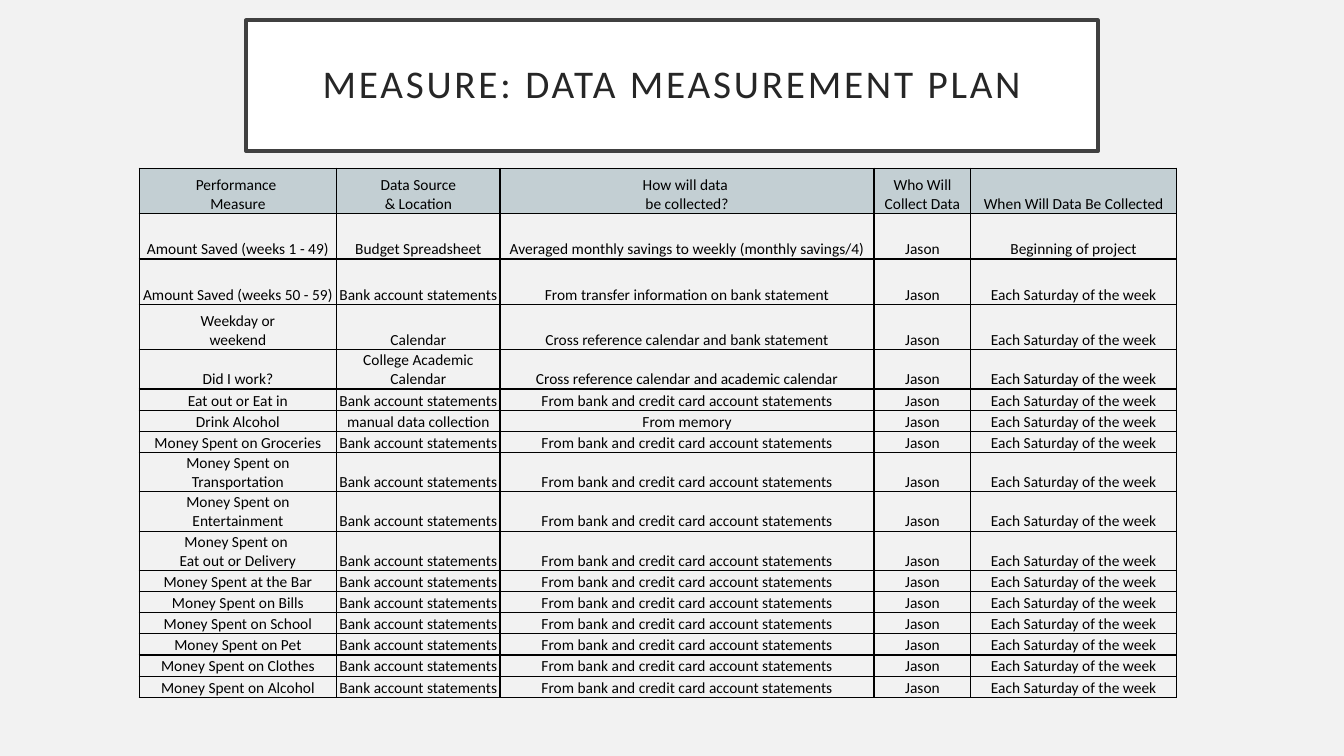
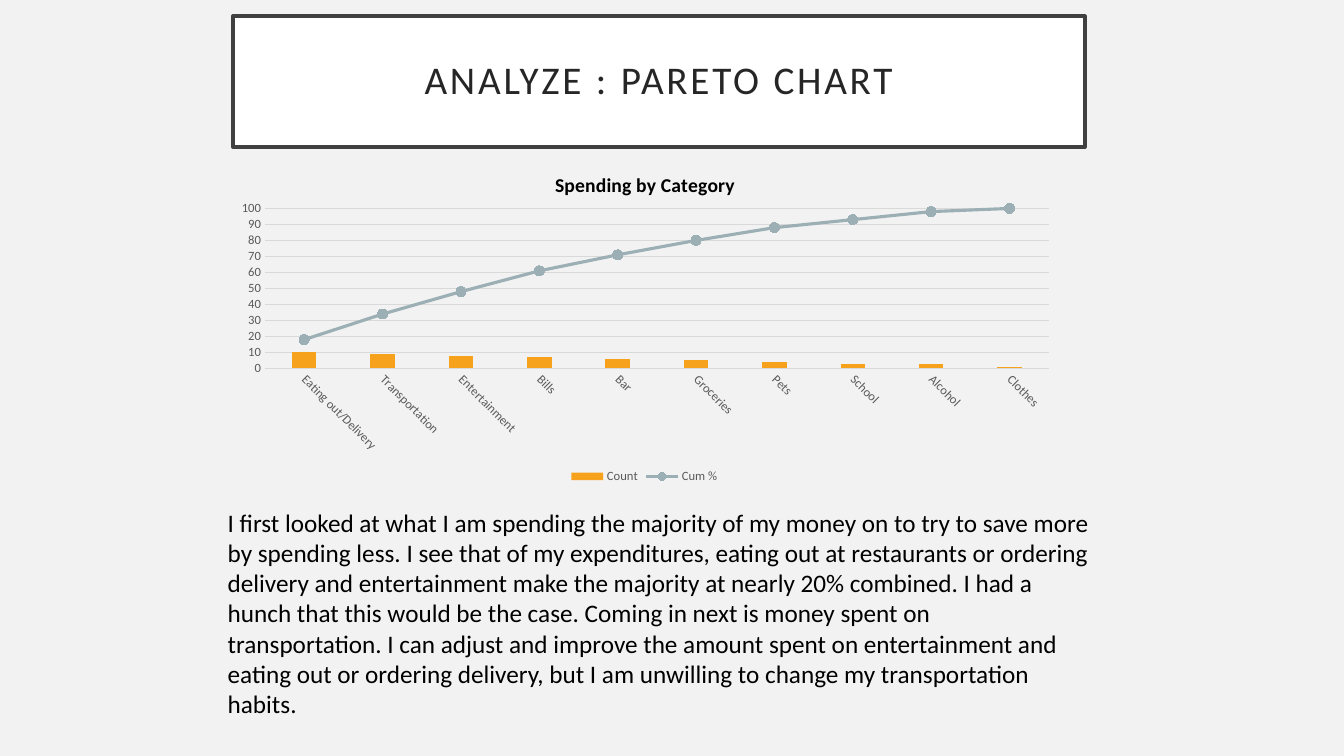
import pptx
import pptx.chart.data
import pptx.dml.color
import pptx.enum.chart
import pptx.enum.text
import pptx.oxml
import pptx.oxml.ns
import pptx.util
from pptx.util import Inches, Pt

FONT = "Calibri"
PAPER, WHITE, BLACK = "F2F2F2", "FFFFFF", "000000"
FRAME, TITLE_INK = "404040", "262626"
HEADER_FILL = "C3CFD3"
AXIS_INK, GRID = "595959", "D9D9D9"
ORANGE, BLUE_GREY = "F6A21D", "9BAFB5"

BANK = "Bank account statements"
CARDS = "From bank and credit card account statements"
WHO = "Jason"
WEEKLY = "Each Saturday of the week"

TALL, MEDIUM, SHORT = 0.45, 0.39, 0.21
COLUMN_WIDTHS = [1.96, 1.62, 3.71, 0.96, 2.04]
HEADER = ["Performance \nMeasure", "Data Source\n& Location", "How will data \nbe collected?",
          "Who Will Collect Data", "When Will Data Be Collected"]
# Row height, measure, source, way of collecting, time of collecting
MEASURES = [
    (TALL, "Amount Saved (weeks 1 - 49)", "Budget Spreadsheet",
     "Averaged monthly savings to weekly (monthly savings/4)", "Beginning of project"),
    (TALL, "Amount Saved (weeks 50 - 59)", BANK,
     "From transfer information on bank statement", WEEKLY),
    (TALL, "Weekday or\nweekend", "Calendar",
     "Cross reference calendar and bank statement", WEEKLY),
    (MEDIUM, "Did I work?", "College Academic Calendar",
     "Cross reference calendar and academic calendar", WEEKLY),
    (SHORT, "Eat out or Eat in", BANK, CARDS, WEEKLY),
    (SHORT, "Drink Alcohol", "manual data collection", "From memory", WEEKLY),
]
SPENDING = [
    (SHORT, "on Groceries"), (MEDIUM, "on Transportation"), (MEDIUM, "on Entertainment"),
    (MEDIUM, "on \nEat out or Delivery"), (SHORT, "at the Bar"), (SHORT, "on Bills"),
    (SHORT, "on School"), (SHORT, "on Pet"), (SHORT, "on Clothes"), (SHORT, "on Alcohol"),
]
MEASURES += [(height, f"Money Spent {purpose}", BANK, CARDS, WEEKLY)
             for height, purpose in SPENDING]

# Category, count, cumulative percentage
PARETO = [
    ("Eating out/Delivery", 10, 18), ("Transportation", 9, 34), ("Entertainment", 8, 48),
    ("Bills", 7, 61), ("Bar", 6, 71), ("Groceries", 5, 80), ("Pets", 4, 88),
    ("School", 3, 93), ("Alcohol", 3, 98), ("Clothes", 1, 100),
]
FINDINGS = (
    "I first looked at what I am spending the majority of my money on to try to save more by "
    "spending less. I see that of my expenditures, eating out at restaurants or ordering "
    "delivery and entertainment make the majority at nearly 20% combined. I had a hunch that "
    "this would be the case. Coming in next is money spent on transportation. I can adjust and "
    "improve the amount spent on entertainment and eating out or ordering delivery, but I am "
    "unwilling to change my transportation habits."
)


def rgb(value):
    return pptx.dml.color.RGBColor.from_string(value)


def paint(fill, color):
    fill.solid()
    fill.fore_color.rgb = rgb(color)


def draw_line(line, color, width):
    line.color.rgb = rgb(color)
    line.width = Pt(width)


def style_font(font, size, color, bold=False):
    font.name, font.size, font.bold = FONT, Pt(size), bold
    font.color.rgb = rgb(color)


def write(paragraph, text, size, color):
    """Add text run by run, with a line break at each newline."""
    for index, part in enumerate(text.split("\n")):
        if index:
            paragraph.add_line_break()
        run = paragraph.add_run()
        run.text = part
        style_font(run.font, size, color)


def add_titled_slide(presentation, title, left, top):
    slide = presentation.slides.add_slide(presentation.slide_layouts.get_by_name("Title Only"))
    shape = slide.shapes.title
    shape.left, shape.top, shape.width, shape.height = map(Inches, (left, top, 8.45, 1.3))
    paint(shape.fill, WHITE)
    draw_line(shape.line, FRAME, 2.5)
    frame = shape.text_frame
    frame.word_wrap = True
    frame.auto_size = pptx.enum.text.MSO_AUTO_SIZE.NONE
    frame.vertical_anchor = pptx.enum.text.MSO_ANCHOR.MIDDLE
    frame.margin_left = frame.margin_right = Inches(0.2)
    frame.margin_top = frame.margin_bottom = Inches(0.2)
    paragraph = frame.paragraphs[0]
    paragraph.alignment = pptx.enum.text.PP_ALIGN.CENTER
    paragraph.line_spacing = 0.9
    write(paragraph, title, 28, TITLE_INK)
    for run in paragraph.runs:
        run.font._element.set("spc", "200")
    return slide


def add_borders(cell, color, width):
    properties = cell._tc.get_or_add_tcPr()
    for index, side in enumerate("LRTB"):
        properties.insert(index, pptx.oxml.parse_xml(
            f'<a:ln{side} {pptx.oxml.ns.nsdecls("a")} w="{Pt(width)}"><a:solidFill>'
            f'<a:srgbClr val="{color}"/></a:solidFill></a:ln{side}>'))


def fill_cell(cell, text, is_header):
    cell.margin_left = cell.margin_right = cell.margin_top = Inches(0.01)
    cell.margin_bottom = 0
    cell.vertical_anchor = pptx.enum.text.MSO_ANCHOR.BOTTOM
    paragraph = cell.text_frame.paragraphs[0]
    paragraph.alignment = pptx.enum.text.PP_ALIGN.CENTER
    write(paragraph, text, 11, BLACK)
    if is_header:
        paint(cell.fill, HEADER_FILL)
    else:
        cell.fill.background()
    add_borders(cell, BLACK, 1)


def add_measurement_table(slide):
    rows = [(TALL, HEADER)]
    rows += [(height, [measure, source, method, WHO, time])
             for height, measure, source, method, time in MEASURES]
    table = slide.shapes.add_table(
        len(rows), len(COLUMN_WIDTHS), Inches(1.38), Inches(1.67),
        Inches(sum(COLUMN_WIDTHS)), Inches(sum(height for height, _ in rows))).table
    table.first_row = table.horz_banding = False
    for column, width in zip(table.columns, COLUMN_WIDTHS):
        column.width = Inches(width)
    for row_index, (height, texts) in enumerate(rows):
        table.rows[row_index].height = Inches(height)
        for column_index, text in enumerate(texts):
            fill_cell(table.cell(row_index, column_index), text, row_index == 0)


def place_in_chart(element, index, **fractions):
    """Give a chart part a manual layout, in fractions of the chart."""
    for layout in element.findall(pptx.oxml.ns.qn("c:layout")):
        element.remove(layout)
    target = '<c:layoutTarget val="inner"/>' if "w" in fractions else ""
    modes = '<c:xMode val="edge"/><c:yMode val="edge"/>'
    values = "".join(f'<c:{name} val="{value}"/>' for name, value in fractions.items())
    element.insert(index, pptx.oxml.parse_xml(
        f'<c:layout {pptx.oxml.ns.nsdecls("c")}><c:manualLayout>{target}{modes}{values}'
        '</c:manualLayout></c:layout>'))


def move_last_series_to_line(chart):
    """Turn the last column series into a line on the same axes."""
    qn = pptx.oxml.ns.qn
    bars = chart.plots[0]._element
    series = bars.findall(qn("c:ser"))[-1]
    for child in series.findall(qn("c:invertIfNegative")):
        series.remove(child)
    axes = "".join(f'<c:axId val="{axis.get("val")}"/>' for axis in bars.findall(qn("c:axId")))
    lines = pptx.oxml.parse_xml(
        f'<c:lineChart {pptx.oxml.ns.nsdecls("c")}><c:grouping val="standard"/>'
        f'<c:varyColors val="0"/><c:marker val="1"/>{axes}</c:lineChart>')
    lines.insert(2, series)
    bars.addnext(lines)


def style_axes(chart):
    for axis in (chart.category_axis, chart.value_axis):
        axis.major_tick_mark = axis.minor_tick_mark = pptx.enum.chart.XL_TICK_MARK.NONE
        style_font(axis.tick_labels.font, 9, AXIS_INK)
    categories, values = chart.category_axis, chart.value_axis
    draw_line(categories.format.line, GRID, 0.75)
    text_body = categories._element.find(pptx.oxml.ns.qn("c:txPr"))
    text_body.find(pptx.oxml.ns.qn("a:bodyPr")).set("rot", str(45 * 60000))
    values.minimum_scale, values.maximum_scale, values.major_unit = 0, 100, 10
    values.format.line.fill.background()
    draw_line(values.major_gridlines.format.line, GRID, 0.75)


def add_pareto_chart(slide):
    names, counts, cumulative = zip(*PARETO)
    data = pptx.chart.data.CategoryChartData()
    data.categories = names
    data.add_series("Count", counts)
    data.add_series("Cum %", cumulative)
    chart = slide.shapes.add_chart(
        pptx.enum.chart.XL_CHART_TYPE.COLUMN_CLUSTERED,
        Inches(2.21), Inches(1.46), Inches(8.36), Inches(3.38), data).chart
    style_font(chart.font, 10, BLACK)
    move_last_series_to_line(chart)
    bars, lines = chart.plots
    bars.gap_width, bars.overlap, bars.vary_by_categories = 219, -27, False
    paint(bars.series[0].format.fill, ORANGE)
    line = lines.series[0]
    line.smooth = False
    draw_line(line.format.line, BLUE_GREY, 2.25)
    line.marker.style = pptx.enum.chart.XL_MARKER_STYLE.CIRCLE
    line.marker.size = 7
    paint(line.marker.format.fill, BLUE_GREY)
    draw_line(line.marker.format.line, BLUE_GREY, 0.75)
    style_axes(chart)

    chart.has_title = True
    run = chart.chart_title.text_frame.paragraphs[0].add_run()
    run.text = "Spending by Category"
    style_font(run.font, 14, BLACK, bold=True)
    place_in_chart(chart.chart_title._element, 1, x=0.39, y=0.06)
    place_in_chart(bars._element.getparent(), 0, x=0.05, y=0.18, w=0.93, h=0.47)
    chart.has_legend = True
    chart.legend.position = pptx.enum.chart.XL_LEGEND_POSITION.BOTTOM
    chart.legend.include_in_layout = False
    style_font(chart.legend.font, 9, AXIS_INK)


def add_findings(slide):
    box = slide.shapes.add_textbox(Inches(2.16), Inches(4.98), Inches(8.75), Inches(2.22))
    box.text_frame.word_wrap = True
    write(box.text_frame.paragraphs[0], FINDINGS, 18, BLACK)


def main():
    presentation = pptx.Presentation()
    presentation.slide_width, presentation.slide_height = Inches(13.33), Inches(7.5)
    paint(presentation.slide_master.background.fill, PAPER)

    add_measurement_table(
        add_titled_slide(presentation, "MEASURE: DATA MEASUREMENT PLAN", 2.44, 0.2))

    analysis = add_titled_slide(presentation, "ANALYZE : PARETO CHART", 2.31, 0.16)
    add_findings(analysis)
    add_pareto_chart(analysis)

    presentation.save("out.pptx")


if __name__ == "__main__":
    main()
